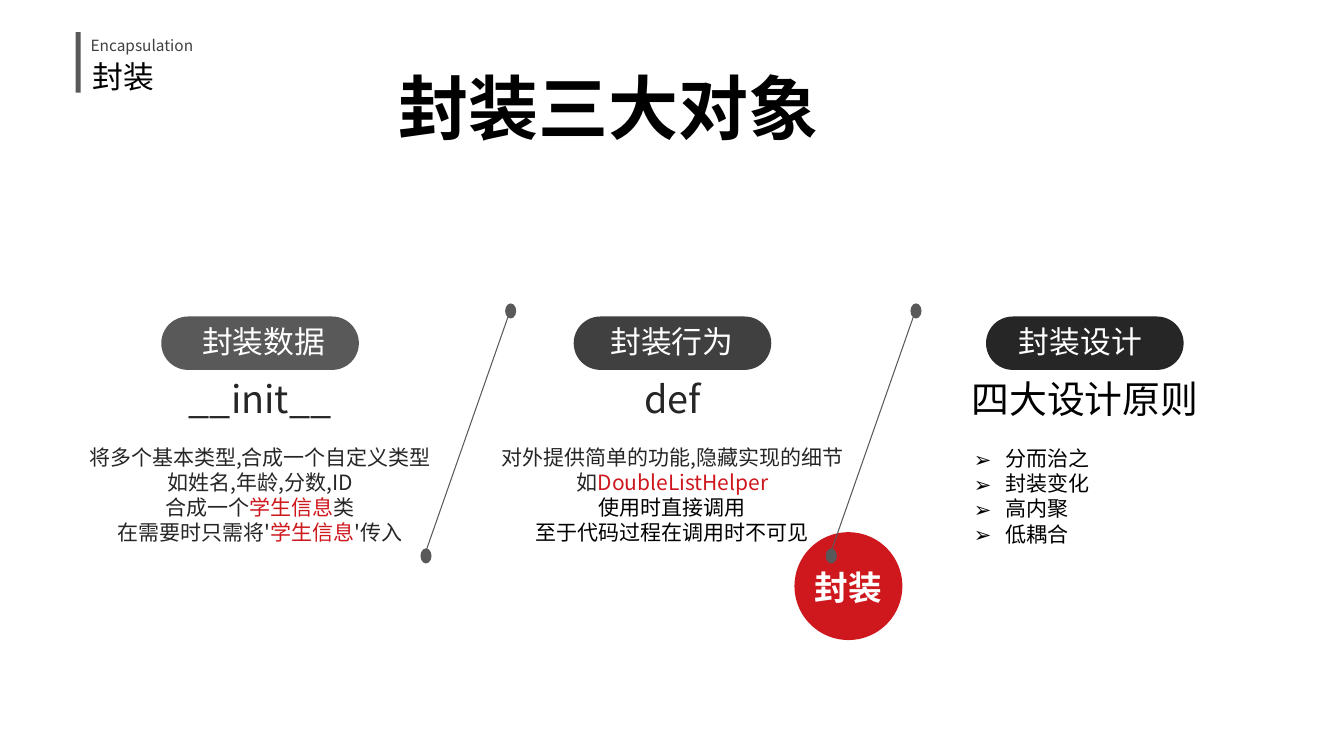
from lxml import etree
from pptx import Presentation
from pptx.dml.color import RGBColor
from pptx.enum import shapes, text
from pptx.oxml import ns
from pptx.util import Inches, Pt

FONT = "Noto Sans CJK SC"
COLORS = {"black": "000000", "ink": "262626", "dark": "404040",
          "gray": "595959", "red": "CE181E", "white": "FFFFFF"}
COLUMNS = [
    ("封装数据", "__init__", "gray", "ink", [
        [("将多个基本类型,合成一个自定义类型", "ink")],
        [("如姓名,年龄,分数,ID", "ink")],
        [("合成一个", "ink"), ("学生信息", "red"), ("类", "ink")],
        [("在需要时只需将'", "ink"), ("学生信息", "red"), ("'传入", "ink")]]),
    ("封装行为", "def", "dark", "ink", [
        [("对外提供简单的功能,隐藏实现的细节", "ink")],
        [("如", "ink"), ("DoubleListHelper", "red")],
        [("使用时直接调用", "black")],
        [("至于代码过程在调用时不可见", "black")]]),
    ("封装设计", "四大设计原则", "ink", "black", [
        [(item, "black")] for item in ("分而治之", "封装变化", "高内聚", "低耦合")]),
]


def rgb(color):
    """Return the named colour."""
    return RGBColor.from_string(COLORS[color])


def write(box, lines, size, align=text.PP_ALIGN.LEFT, bold=False, spacing=1.0):
    """Fill a box with lines, each a list of (words, colour) spans."""
    frame = box.text_frame
    frame.word_wrap = True
    frame.auto_size = text.MSO_AUTO_SIZE.NONE
    frame.vertical_anchor = text.MSO_ANCHOR.TOP
    frame.text = "\n".join("" for _ in lines)
    for para, spans in zip(frame.paragraphs, lines):
        para.alignment = align
        para.line_spacing = spacing
        para.space_before = Pt(0)
        for words, color in spans:
            span = para.add_run()
            span.text = words
            span.font.size = Pt(size)
            span.font.bold = bold
            span.font.name = FONT
            span.font.color.rgb = rgb(color)
            east = etree.SubElement(span.font._element, ns.qn("a:ea"))
            east.set("typeface", FONT)


def add_text(page, left, top, width, height, lines, size, **style):
    """Add a text box and write its lines."""
    box = page.shapes.add_textbox(Inches(left), Inches(top), Inches(width), Inches(height))
    write(box, lines, size, **style)
    return box


def add_solid(page, kind, left, top, width, height, color):
    """Add a plain filled shape without outline or shadow."""
    shape = page.shapes.add_shape(kind, Inches(left), Inches(top), Inches(width), Inches(height))
    shape.shadow.inherit = False
    shape.fill.solid()
    shape.fill.fore_color.rgb = rgb(color)
    shape.line.fill.background()
    return shape


def add_bullets(box):
    """Give every paragraph of a box an arrow bullet with a hanging indent."""
    for para in box.text_frame.paragraphs:
        props = para._p.get_or_add_pPr()
        props.set("marL", str(Inches(0.31)))
        props.set("indent", str(-Inches(0.31)))
        color = etree.SubElement(props, ns.qn("a:buClr"))
        etree.SubElement(color, ns.qn("a:srgbClr")).set("val", COLORS["black"])
        etree.SubElement(props, ns.qn("a:buFont")).set("typeface", FONT)
        etree.SubElement(props, ns.qn("a:buChar")).set("char", "➢")


def add_header(page, left, top):
    """Add the section marker with its bar and two captions."""
    add_solid(page, shapes.MSO_SHAPE.RECTANGLE, left, top, 0.05, 0.6, "gray")
    add_text(page, left + 0.07, top + 0.2, 2.64, 0.46, [[("封装", "black")]], 22)
    add_text(page, left + 0.05, top - 0.07, 3.06, 0.33,
             [[("Encapsulation", "dark")]], 11, spacing=1.3)


def add_title(page, left, top, width, height):
    """Place and format the slide title."""
    title = page.shapes.title
    title.left, title.top = Inches(left), Inches(top)
    title.width, title.height = Inches(width), Inches(height)
    write(title, [[("封装三大对象", "black")]], 50, align=text.PP_ALIGN.CENTER, bold=True)


def add_badge(page, left, top, size):
    """Add the red circle with its bold word."""
    add_solid(page, shapes.MSO_SHAPE.OVAL, left, top, size, size, "red")
    add_text(page, left - 0.1, top + 0.3, size + 0.2, 0.5, [[("封装", "white")]], 24,
             align=text.PP_ALIGN.CENTER, bold=True)


def add_column(page, left, top, label_left, column, listed):
    """Add one column: pill, label, heading and body, left being the pill's edge."""
    label, heading, pill_color, heading_color, body = column
    center = text.PP_ALIGN.CENTER
    pill = add_solid(page, shapes.MSO_SHAPE.ROUNDED_RECTANGLE, left, top, 1.96, 0.53, pill_color)
    pill.adjustments[0] = 0.5
    add_text(page, label_left, top + 0.01, 3.53, 0.65, [[(label, "white")]], 22, align=center)
    add_text(page, left - 1.22, top + 0.54, 4.4, 0.69,
             [[(heading, heading_color)]], 27, align=center)
    if listed:
        add_bullets(add_text(page, left - 0.22, top + 1.23, 2.41, 1.2, body, 15))
    else:
        add_text(page, left - 1.02, top + 1.22, 4, 1.2, body, 15, align=center)


def add_divider(page, left, top):
    """Add a slanted line with a dot at each end."""
    line = page.shapes.add_connector(
        shapes.MSO_CONNECTOR.STRAIGHT, Inches(left + 0.04), Inches(top + 2.5),
        Inches(left + 0.87), Inches(top + 0.13))
    line.line.color.rgb = rgb("gray")
    line.line.width = Pt(0.75)
    etree.SubElement(line._element.spPr, ns.qn("a:effectLst"))
    for across, down in ((0.84, 0), (0, 2.43)):
        add_solid(page, shapes.MSO_SHAPE.OVAL, left + across, top + down, 0.11, 0.15, "gray")


def main():
    """Build the slide and save it."""
    deck = Presentation()
    deck.slide_width, deck.slide_height = Inches(13.33), Inches(7.5)
    page = deck.slides.add_slide(deck.slide_layouts.get_by_name("Title Only"))
    add_header(page, 0.75, 0.32)
    add_title(page, 3.85, 0.59, 4.37, 0.93)
    add_badge(page, 7.88, 5.28, 1.07)
    for index, column in enumerate(COLUMNS):
        add_column(page, 1.6 + 4.09 * index, 3.14, 0.85 + 4.05 * index, column, index == 2)
    for index in range(2):
        add_divider(page, 4.17 + 4.02 * index, 3.01)
    deck.save("out.pptx")


if __name__ == "__main__":
    main()
